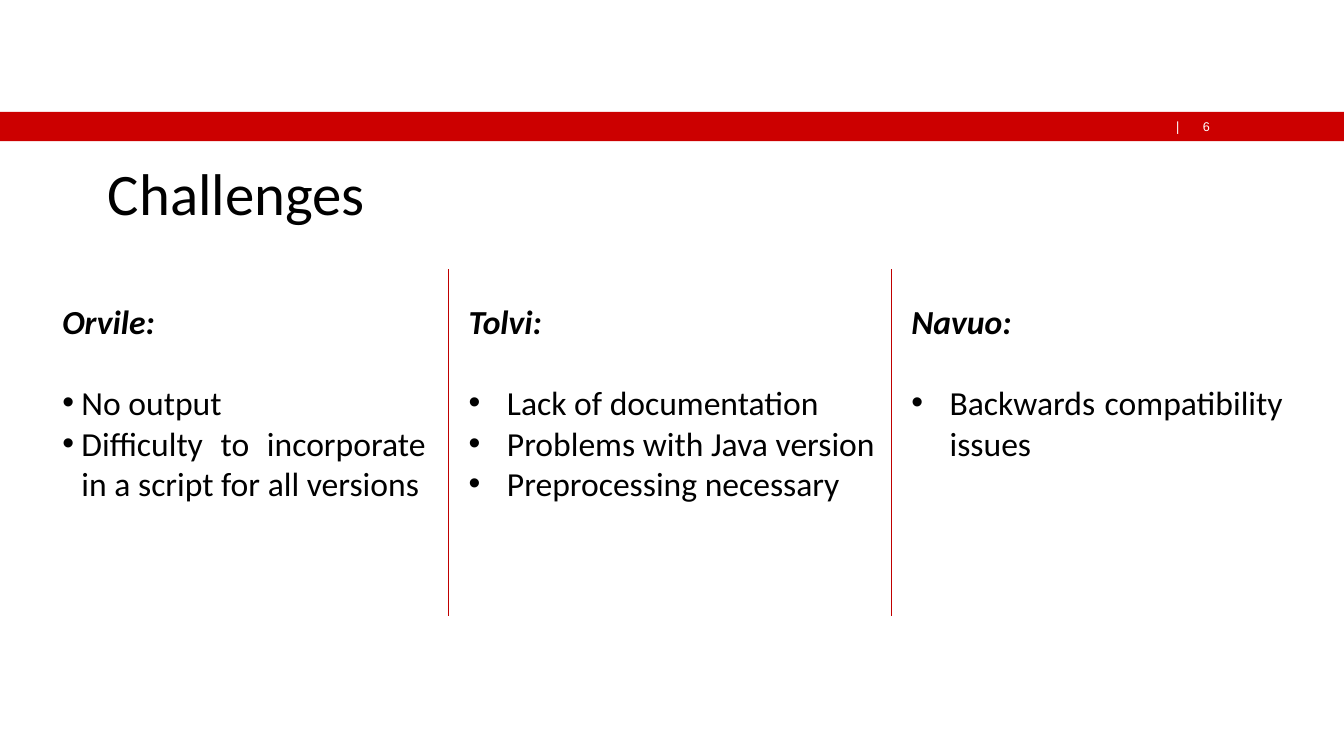
import lxml.etree
import pptx
import pptx.dml.color
import pptx.enum.shapes
import pptx.enum.text
import pptx.oxml.ns
import pptx.util
from dataclasses import dataclass

Inches = pptx.util.Inches
Pt = pptx.util.Pt
ALIGN = pptx.enum.text.PP_ALIGN
ANCHOR = pptx.enum.text.MSO_ANCHOR

TITLE = "Challenges"
TOOLS = [
    {"name": "Orvile:", "left": 0.52, "width": 3.8, "indent": 0.19, "align": ALIGN.JUSTIFY,
     "issues": ["No output", "Difficulty to incorporate in a script for all versions"]},
    {"name": "Tolvi:", "left": 4.55, "width": 4.26, "indent": 0.38, "align": ALIGN.LEFT,
     "issues": ["Lack of documentation", "Problems with Java version", "Preprocessing necessary"]},
    {"name": "Navuo:", "left": 8.94, "width": 3.88, "indent": 0.38, "align": ALIGN.JUSTIFY,
     "issues": ["Backwards compatibility issues"]},
]
# text, left, width, font, alignment
PAGE_MARKS = [
    ("|", 11.66, 0.06, "DejaVu Sans", ALIGN.LEFT),
    ("6", 11.72, 0.28, "Arial", ALIGN.RIGHT),
]
DIVIDERS = [4.45, 8.84]
DIVIDER_TOP, DIVIDER_BOTTOM = 2.67, 6.11
COLUMN_TOP = 2.94
LINE_HEIGHT = 29  # points taken by one line of body text


@dataclass(frozen=True)
class Theme:
    band: str = "CC0000"
    divider: str = "C00000"
    text: str = "000000"
    page: str = "FFFFFF"
    font: str = "Calibri"
    title_size: int = 42
    body_size: int = 24
    page_size: int = 9


THEME = Theme()


def rgb(value):
    return pptx.dml.color.RGBColor.from_string(value)


def apply(target, values):
    for name, value in values.items():
        setattr(target, name, value)


def write(paragraph, text, size, color=THEME.text, font=THEME.font, **style):
    run = paragraph.add_run()
    run.text = text
    apply(run.font, {"name": font, "size": Pt(size), **style})
    run.font.color.rgb = rgb(color)


def frame_margins(frame, left, top, right, bottom):
    apply(frame, {"margin_left": Inches(left), "margin_top": Inches(top),
                  "margin_right": Inches(right), "margin_bottom": Inches(bottom)})


def add_bullet(paragraph, indent):
    properties = paragraph._p.get_or_add_pPr()
    properties.set("marL", str(Inches(indent)))
    properties.set("indent", str(-Inches(indent)))
    for tag, key, value in (("a:buFont", "typeface", "Arial"), ("a:buChar", "char", "•")):
        lxml.etree.SubElement(properties, pptx.oxml.ns.qn(tag)).set(key, value)


def add_band(slide, slide_width):
    band = slide.shapes.add_shape(pptx.enum.shapes.MSO_SHAPE.RECTANGLE,
                                  0, Inches(1.11), slide_width, Inches(0.29))
    band.shadow.inherit = False
    band.fill.solid()
    band.fill.fore_color.rgb = rgb(THEME.band)
    band.line.fill.background()
    for text, left, width, font, align in PAGE_MARKS:
        mark = slide.shapes.add_textbox(Inches(left), Inches(1.18), Inches(width), Inches(0.15))
        frame_margins(mark.text_frame, 0, 0, 0, 0)
        mark.text_frame.word_wrap = True
        paragraph = mark.text_frame.paragraphs[0]
        paragraph.alignment = align
        write(paragraph, text, THEME.page_size, THEME.page, font)


def add_title(slide, slide_width):
    title = slide.shapes.title
    apply(title, {"left": 0, "top": Inches(1.39), "width": slide_width, "height": Inches(1.18)})
    frame = title.text_frame
    frame_margins(frame, 1.07, 0.24, 0.29, 0.24)
    apply(frame, {"word_wrap": True, "vertical_anchor": ANCHOR.TOP,
                  "auto_size": pptx.enum.text.MSO_AUTO_SIZE.NONE})
    paragraph = frame.paragraphs[0]
    apply(paragraph, {"alignment": ALIGN.LEFT, "line_spacing": 0.9})
    write(paragraph, TITLE, THEME.title_size)


def add_tool(slide, tool):
    lines = len(tool["issues"]) + 2
    column = slide.shapes.add_textbox(Inches(tool["left"]), Inches(COLUMN_TOP), Inches(tool["width"]),
                                      Pt(lines * LINE_HEIGHT) + Inches(0.1))
    frame = column.text_frame
    apply(frame, {"word_wrap": True, "vertical_anchor": ANCHOR.TOP,
                  "auto_size": pptx.enum.text.MSO_AUTO_SIZE.SHAPE_TO_FIT_TEXT})
    heading = frame.paragraphs[0]
    apply(heading, {"alignment": tool["align"], "space_after": Pt(LINE_HEIGHT)})
    write(heading, tool["name"], THEME.body_size, bold=True, italic=True)
    for issue in tool["issues"]:
        paragraph = frame.add_paragraph()
        paragraph.alignment = tool["align"]
        add_bullet(paragraph, tool["indent"])
        write(paragraph, issue, THEME.body_size)


def add_divider(slide, x):
    divider = slide.shapes.add_connector(pptx.enum.shapes.MSO_CONNECTOR.STRAIGHT, Inches(x),
                                         Inches(DIVIDER_TOP), Inches(x), Inches(DIVIDER_BOTTOM))
    divider.line.color.rgb = rgb(THEME.divider)
    divider.line.width = Pt(0.5)
    lxml.etree.SubElement(divider._element.spPr, pptx.oxml.ns.qn("a:effectLst"))


def main():
    deck = pptx.Presentation()
    apply(deck, {"slide_width": Inches(13.33), "slide_height": Inches(7.5)})
    slide = deck.slides.add_slide(deck.slide_layouts.get_by_name("Title Only"))
    add_band(slide, deck.slide_width)
    add_title(slide, deck.slide_width)
    for tool in TOOLS:
        add_tool(slide, tool)
    for x in DIVIDERS:
        add_divider(slide, x)
    deck.save("out.pptx")


if __name__ == "__main__":
    main()
